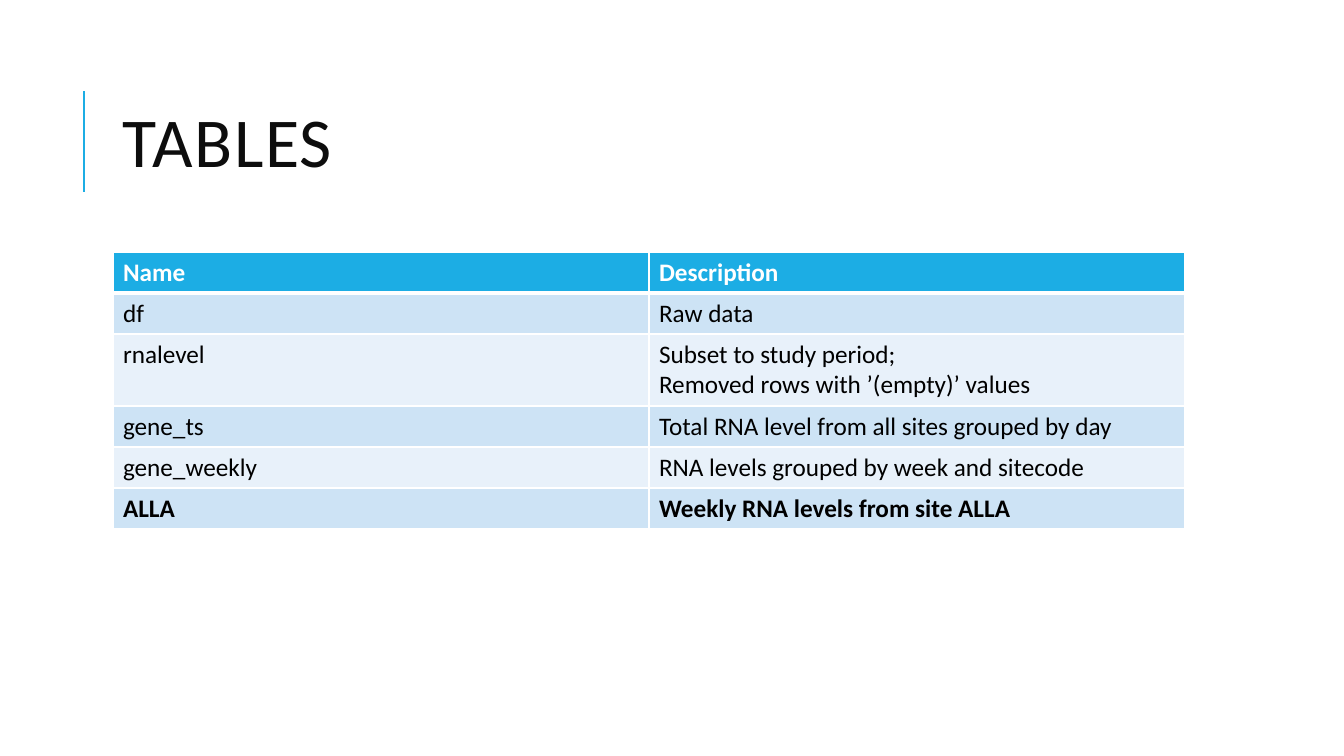
from lxml.etree import SubElement
from pptx import Presentation
from pptx.dml.color import RGBColor
from pptx.enum.shapes import MSO_CONNECTOR
from pptx.enum.text import MSO_ANCHOR
from pptx.oxml import parse_xml
from pptx.oxml.ns import nsdecls, qn
from pptx.util import Pt

PX = 914400 / 100.8
COLORS = {
    "accent": "1CADE4",
    "title": "0D0D0D",
    "text": "000000",
    "white": "FFFFFF",
    "band_dark": "CDE3F5",
    "band_light": "E8F1FA",
}
ROWS = [
    ("Name", ["Description"]),
    ("df", ["Raw data"]),
    ("rnalevel", ["Subset to study period;", "Removed rows with ’(empty)’ values"]),
    ("gene_ts", ["Total RNA level from all sites grouped by day"]),
    ("gene_weekly", ["RNA levels grouped by week and sitecode"]),
    ("ALLA", ["Weekly RNA levels from site ALLA"]),
]
LEFT, WIDTH, ROW_HEIGHT, LINE_HEIGHT = 113, 1072, 41, 31


def px(*lengths):
    return [round(length * PX) for length in lengths]


def add_run(paragraph, text, size, color, bold=False):
    run = paragraph.add_run()
    run.text = text
    run.font.name = "Calibri"
    run.font.size = Pt(size)
    run.font.bold = bold
    run.font.color.rgb = RGBColor.from_string(COLORS[color])
    return run


presentation = Presentation()
presentation.slide_width, presentation.slide_height = px(1344, 756)
slide = presentation.slides.add_slide(presentation.slide_layouts[6])

accent_line = slide.shapes.add_connector(MSO_CONNECTOR.STRAIGHT, *px(84, 192, 84, 91))
accent_line.line.color.rgb = RGBColor.from_string(COLORS["accent"])
accent_line.line.width = Pt(1.5)
SubElement(accent_line._element.spPr, qn("a:effectLst"))

title = slide.shapes.add_textbox(*px(LEFT, 65, WIDTH, 165))
title.text_frame.word_wrap = True
title.text_frame.vertical_anchor = MSO_ANCHOR.MIDDLE
paragraph = title.text_frame.paragraphs[0]
paragraph.line_spacing = 0.8
title_run = add_run(paragraph, "TABLES", 50, "title")
title_run.font._element.set("spc", "100")

table_height = ROW_HEIGHT * len(ROWS) + LINE_HEIGHT
table = slide.shapes.add_table(len(ROWS), 2, *px(LEFT, 252, WIDTH, table_height)).table
for column in table.columns:
    column.width = px(WIDTH / 2)[0]

for row_index, (name, description) in enumerate(ROWS):
    header = row_index == 0
    bold = header or name == "ALLA"
    fill = "accent" if header else "band_dark" if row_index % 2 else "band_light"
    height = ROW_HEIGHT + LINE_HEIGHT * (len(description) - 1)
    table.rows[row_index].height = px(height)[0]
    borders = {"lnL": 1, "lnR": 1, "lnT": 3 if row_index == 1 else 1, "lnB": 3 if header else 1}
    for column_index, lines in enumerate([[name], description]):
        cell = table.cell(row_index, column_index)
        cell.fill.solid()
        cell.fill.fore_color.rgb = RGBColor.from_string(COLORS[fill])
        for line_index, line in enumerate(lines):
            frame = cell.text_frame
            paragraph = frame.add_paragraph() if line_index else frame.paragraphs[0]
            add_run(paragraph, line, 18, "white" if header else "text", bold)
        properties = cell._tc.get_or_add_tcPr()
        for position, (side, width) in enumerate(borders.items()):
            properties.insert(position, parse_xml(
                f'<a:{side} {nsdecls("a")} w="{Pt(width)}"><a:solidFill>'
                f'<a:srgbClr val="{COLORS["white"]}"/></a:solidFill></a:{side}>'
            ))

presentation.save("out.pptx")
